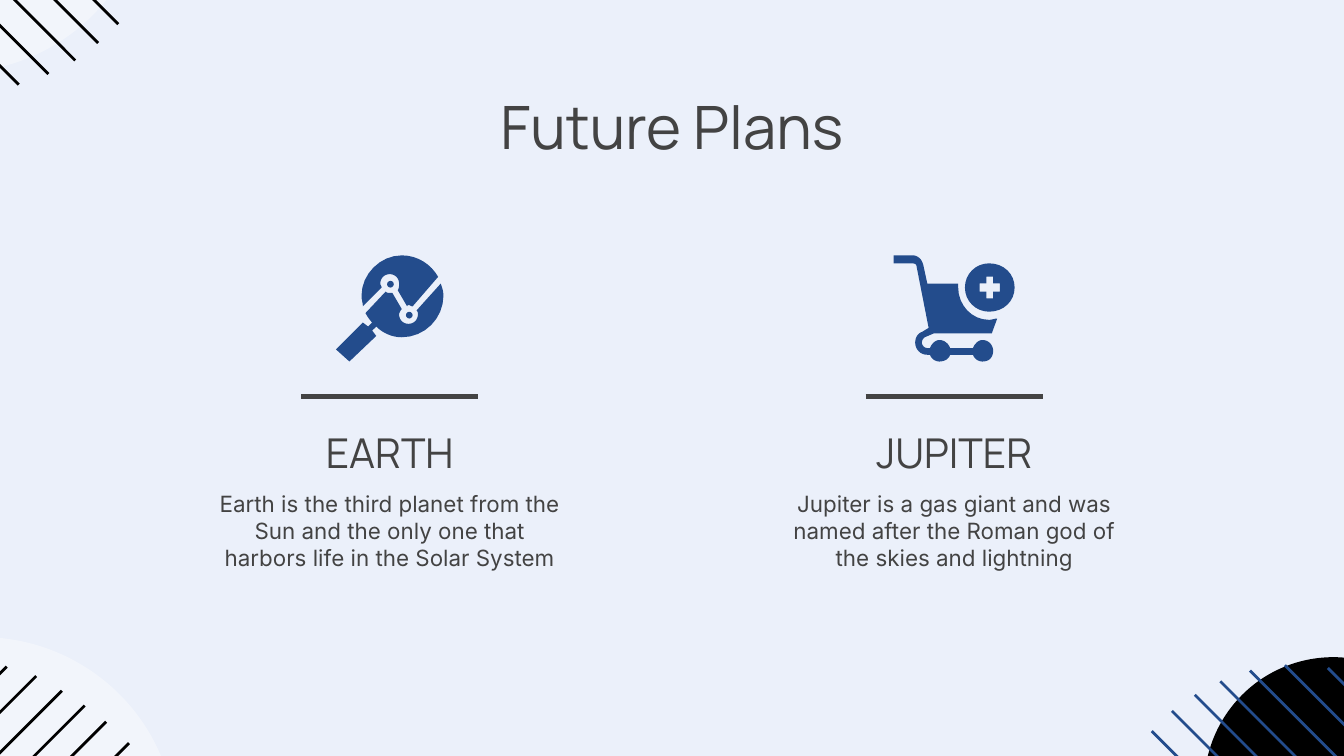
from lxml.etree import SubElement
from pptx import Presentation
from pptx.dml.color import RGBColor
from pptx.enum.shapes import MSO_CONNECTOR, MSO_SHAPE
from pptx.enum.text import MSO_ANCHOR, PP_ALIGN
from pptx.oxml.ns import qn
from pptx.util import Inches, Pt

COLORS = {"background": "EBF0FA", "text": "434343", "accent": "234C8C",
          "black": "000000", "white": "FFFFFF"}
TITLE = "Future Plans"
COLUMN_WIDTH, RULE_WIDTH, RULE_Y = 2.85, 1.32, 2.95

# Outlines: a pair is a corner; six numbers are a Bezier curve (two handles, end).
LENS_TOP = [
    (2.99, 1.9), (2.83, 1.9, 2.69, 2.04, 2.69, 2.2), (2.69, 2.23, 2.7, 2.25, 2.7, 2.28),
    (2.84, 2.14), (2.84, 2.13, 2.83, 2.12, 2.83, 2.11), (2.83, 2.07, 2.86, 2.04, 2.9, 2.04),
    (2.94, 2.04, 2.97, 2.07, 2.97, 2.11), (2.97, 2.13, 2.97, 2.14, 2.96, 2.16),
    (3.03, 2.28), (3.03, 2.27, 3.04, 2.27, 3.04, 2.27), (3.05, 2.27, 3.06, 2.28, 3.07, 2.28),
    (3.26, 2.06), (3.21, 1.97, 3.11, 1.9, 2.99, 1.9)]
LENS_AND_HANDLE = [
    (3.28, 2.11), (3.1, 2.31), (3.11, 2.32, 3.11, 2.33, 3.11, 2.34),
    (3.11, 2.38, 3.08, 2.41, 3.04, 2.41), (3, 2.41, 2.97, 2.38, 2.97, 2.34),
    (2.97, 2.33, 2.98, 2.31, 2.99, 2.3), (2.92, 2.18), (2.91, 2.18, 2.91, 2.18, 2.9, 2.18),
    (2.89, 2.18, 2.88, 2.18, 2.87, 2.17), (2.72, 2.33), (2.73, 2.35, 2.75, 2.38, 2.77, 2.4),
    (2.74, 2.43), (2.7, 2.4), (2.5, 2.6), (2.6, 2.69), (2.8, 2.5), (2.77, 2.46), (2.8, 2.43),
    (2.85, 2.48, 2.92, 2.51, 2.99, 2.51), (3.16, 2.51, 3.3, 2.37, 3.3, 2.2),
    (3.3, 2.17, 3.29, 2.14, 3.28, 2.11)]
CART = [
    (6.65, 1.9), (6.65, 1.96), (6.79, 1.96), (6.81, 1.96, 6.82, 1.97, 6.82, 1.98),
    (6.91, 2.44), (6.86, 2.47), (6.83, 2.48, 6.81, 2.51, 6.81, 2.55),
    (6.81, 2.6, 6.85, 2.64, 6.9, 2.64), (6.92, 2.64), (6.93, 2.67, 6.96, 2.69, 6.99, 2.69),
    (7.03, 2.69, 7.06, 2.67, 7.07, 2.64), (7.24, 2.64), (7.25, 2.67, 7.28, 2.69, 7.31, 2.69),
    (7.36, 2.69, 7.39, 2.66, 7.39, 2.61), (7.39, 2.57, 7.36, 2.53, 7.31, 2.53),
    (7.28, 2.53, 7.25, 2.56, 7.24, 2.59), (7.07, 2.59), (7.06, 2.56, 7.03, 2.53, 6.99, 2.53),
    (6.96, 2.53, 6.93, 2.56, 6.92, 2.59), (6.9, 2.59), (6.88, 2.59, 6.86, 2.57, 6.86, 2.55),
    (6.86, 2.53, 6.87, 2.52, 6.88, 2.51), (6.95, 2.48), (7.38, 2.48), (7.42, 2.37),
    (7.4, 2.37, 7.38, 2.38, 7.36, 2.38), (7.23, 2.38, 7.13, 2.27, 7.13, 2.14),
    (7.13, 2.13, 7.13, 2.12, 7.13, 2.11), (6.9, 2.11), (6.87, 1.97),
    (6.86, 1.93, 6.83, 1.9, 6.79, 1.9)]
PLUS = [
    (7.39, 2.06), (7.39, 2.11), (7.44, 2.11), (7.44, 2.17), (7.39, 2.17), (7.39, 2.22),
    (7.34, 2.22), (7.34, 2.17), (7.29, 2.17), (7.29, 2.11), (7.34, 2.11), (7.34, 2.06)]
BADGE = [
    (7.36, 1.96), (7.26, 1.96, 7.18, 2.04, 7.18, 2.14), (7.18, 2.24, 7.26, 2.32, 7.36, 2.32),
    (7.47, 2.32, 7.55, 2.24, 7.55, 2.14), (7.55, 2.04, 7.47, 1.96, 7.36, 1.96)]

PLANS = [
    {"name": "EARTH", "center": 2.9, "icon": [[LENS_TOP], [LENS_AND_HANDLE]],
     "dots": [(3.02, 2.32), (2.88, 2.09)],
     "body": "Earth is the third planet from the Sun and the only one that "
             "harbors life in the Solar System"},
    {"name": "JUPITER", "center": 7.1, "icon": [[CART], [BADGE, PLUS]], "dots": [],
     "body": "Jupiter is a gas giant and was named after the Roman god of "
             "the skies and lightning"},
]

# Each stripe is (tip x, tip y, run); it leaves its tip at 45 degrees.
CORNERS = [
    {"disc": (-1.59, 4.74, 2.9, 2.88), "fill": "white", "alpha": 36,
     "stripe": "black", "direction": (-1, 1),
     "stripes": [(0.05, 4.96, 1.71), (0.27, 5.03, 1.85), (0.46, 5.14, 1.95),
                 (0.63, 5.25, 2), (0.79, 5.37, 2.02), (0.96, 5.53, 2)]},
    {"disc": (-1.79, -2.34, 2.9, 2.88), "fill": "white", "alpha": 36,
     "stripe": "black", "direction": (-1, -1),
     "stripes": [(0.14, 0.63, 1.71), (0.36, 0.55, 1.85), (0.56, 0.45, 1.95),
                 (0.73, 0.32, 2), (0.88, 0.18, 2.02)]},
    {"disc": (8.96, 4.89, 1.92, 1.92), "fill": "black", "alpha": 100,
     "stripe": "accent", "direction": (1, 1),
     "stripes": [(8.57, 5.44, 2.04), (8.72, 5.29, 1.99), (8.89, 5.17, 1.95),
                 (9.08, 5.07, 1.86), (9.3, 4.99, 1.71), (9.56, 4.95, 1.49),
                 (9.88, 4.97, 1.16)]},
]


def rgb(color):
    return RGBColor.from_string(COLORS[color])


def paint(shape, color, alpha=100):
    shape.shadow.inherit = False
    shape.fill.solid()
    shape.fill.fore_color.rgb = rgb(color)
    shape.line.fill.background()
    if alpha < 100:
        tint = shape.fill._xPr.find(qn("a:solidFill"))[0]
        SubElement(tint, qn("a:alpha"), val=str(alpha * 1000))


def add_disc(slide, box, color, alpha=100):
    paint(slide.shapes.add_shape(MSO_SHAPE.OVAL, *map(Inches, box)), color, alpha)


def add_line(slide, x1, y1, x2, y2, color, width):
    line = slide.shapes.add_connector(MSO_CONNECTOR.STRAIGHT, *map(Inches, (x1, y1, x2, y2)))
    line.line.color.rgb = rgb(color)
    line.line.width = Pt(width)
    SubElement(line._element.spPr, qn("a:effectLst"))


def flatten(outline, steps=8):
    """Return the outline's points in EMU, with each curve cut into short segments."""
    points = []
    for part in outline:
        if len(part) == 2:
            points.append(part)
            continue
        x0, y0 = points[-1]
        x1, y1, x2, y2, x3, y3 = part
        for step in range(1, steps + 1):
            t = step / steps
            a, b, c, d = (1 - t) ** 3, 3 * t * (1 - t) ** 2, 3 * t * t * (1 - t), t ** 3
            points.append((a * x0 + b * x1 + c * x2 + d * x3,
                           a * y0 + b * y1 + c * y2 + d * y3))
    return [(Inches(x), Inches(y)) for x, y in points]


def add_outline(slide, contours, color):
    first, *others = map(flatten, contours)
    builder = slide.shapes.build_freeform(*first[0])
    builder.add_line_segments(first[1:], close=True)
    for points in others:
        builder.move_to(*points[0])
        builder.add_line_segments(points[1:], close=True)
    paint(builder.convert_to_shape(), color)


def add_text(slide, text, box, *, font, size, anchor=MSO_ANCHOR.TOP, spacing=None):
    frame = slide.shapes.add_textbox(*map(Inches, box)).text_frame
    frame.word_wrap = True
    frame.vertical_anchor = anchor
    frame.margin_left = frame.margin_right = Inches(0.1)
    frame.margin_top = frame.margin_bottom = Inches(0.1)
    paragraph = frame.paragraphs[0]
    paragraph.alignment = PP_ALIGN.CENTER
    paragraph.line_spacing = spacing
    run = paragraph.add_run()
    run.text = text
    run.font.name = font
    run.font.size = Pt(size)
    run.font.color.rgb = rgb("text")


def main():
    deck = Presentation()
    deck.slide_width = Inches(10)
    deck.slide_height = deck.slide_width * 9 // 16
    slide = deck.slides.add_slide(deck.slide_layouts[6])
    slide.background.fill.solid()
    slide.background.fill.fore_color.rgb = rgb("background")

    for corner in CORNERS:
        add_disc(slide, corner["disc"], corner["fill"], corner["alpha"])
        dx, dy = corner["direction"]
        for x, y, run in corner["stripes"]:
            add_line(slide, x, y, x + dx * run, y + dy * run, corner["stripe"], 1.5)

    add_text(slide, TITLE, (0.78, 0.57, 8.44, 0.77), font="Manrope", size=32)
    for plan in PLANS:
        center = plan["center"]
        left = center - COLUMN_WIDTH / 2
        add_text(slide, plan["body"], (left, 3.55, COLUMN_WIDTH, 0.85), font="Inter", size=12)
        add_text(slide, plan["name"], (left, 3.08, COLUMN_WIDTH, 0.57), font="Manrope",
                 size=22, anchor=MSO_ANCHOR.BOTTOM, spacing=0.9)
        add_line(slide, center - RULE_WIDTH / 2, RULE_Y, center + RULE_WIDTH / 2, RULE_Y,
                 "text", 2.25)
        for contours in plan["icon"]:
            add_outline(slide, contours, "accent")
        for x, y in plan["dots"]:
            add_disc(slide, (x, y, 0.05, 0.05), "accent")

    deck.save("out.pptx")


if __name__ == "__main__":
    main()
